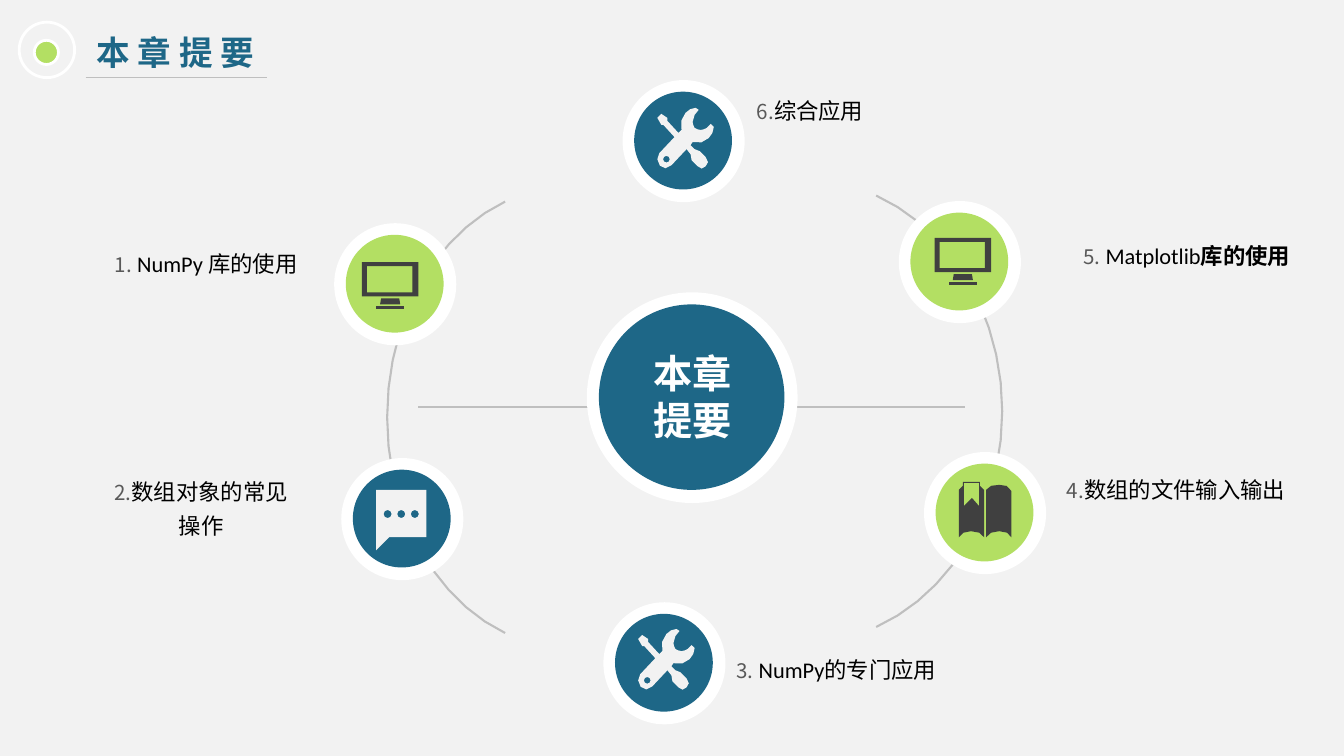
from math import cos, pi, sin

from pptx import Presentation
from pptx.dml.color import RGBColor
from pptx.enum.shapes import MSO_CONNECTOR as Link, MSO_SHAPE as Preset
from pptx.enum.text import MSO_AUTO_SIZE as Fit, PP_ALIGN as Align
from pptx.oxml.ns import qn
from pptx.util import Cm, Pt

BLUE, GREEN, WHITE = "1E6787", "B3DF63", "FFFFFF"
GREY, DARK, PALE = "BFBFBF", "404040", "F2F2F2"
SANS = "Noto Sans CJK SC"
TITLE = dict(size=Pt(24), name=SANS, bold=True, color=BLUE)
HUB = dict(size=Pt(28), name=SANS, bold=True, color=WHITE)
NUM = dict(size=Pt(14.7), name=SANS, color="595959")
BODY = dict(size=Pt(16), name="Calibri", color="000000")
BOLD = dict(BODY, bold=True)


# Units and colours
def inch(val):
    return Cm(val * 2.54)


def tint(code):
    return RGBColor.from_string(code)


def paint(shape, fill=None, line=None, width=0):
    shape.shadow.inherit = False
    for part, code in ((shape.fill, fill), (shape.line.fill, line)):
        if code:
            part.solid()
            part.fore_color.rgb = tint(code)
        else:
            part.background()
    if line:
        shape.line.width = Pt(width)


# Outlines: a pair is a corner, six numbers are a curve
def trace(*steps, cuts=2):
    pts = [steps[0]]
    for step in steps[1:]:
        if len(step) == 2:
            pts.append(step)
            continue
        ends = [pts[-1], step[:2], step[2:4], step[4:]]
        for i in range(1, cuts + 1):
            t = i / cuts
            mix = ((1 - t) ** 3, 3 * t * (1 - t) ** 2, 3 * t * t * (1 - t), t ** 3)
            pts.append(tuple(sum(m * e[k] for m, e in zip(mix, ends)) for k in (0, 1)))
    return pts


def box(x1, y1, x2, y2):
    return [(x1, y1), (x2, y1), (x2, y2), (x1, y2)]


def ring(x, y, r):
    return [(x + r * cos(i * pi / 4), y + r * sin(i * pi / 4)) for i in range(8)]


# Each icon lists its parts, each part its outlines, in hundredths of an inch
SCREEN = [
    [[(19, 36), (18, 42), (38, 42), (37, 36)]],
    [box(0, 0, 56, 34), box(5, 4, 50, 30)],
    [box(14, 44, 42, 47)],
]
BUBBLE = [[
    [(0, 60), (13, 47), (50, 47), (50, 0), (0, 0)],
    *(ring(11.5 + 13.5 * i, 24, 4) for i in range(3)),
]]
BOOK = [
    [trace((0, 55), (1, 51, 7, 49, 12, 49), (19, 49, 23, 51, 25, 55), (25, 8),
           (21, 4), (21, 0), (4, 0), (4, 4), (0, 8)),
     [(5, 4), (5, 1), (20, 1), (20, 24), (13, 16), (5, 24)]],
    [trace((27, 55), (29, 51, 34, 49, 40, 49), (46, 49, 51, 51, 52, 55), (52, 9),
           (50, 4, 46, 3, 40, 3), (34, 3, 29, 4, 27, 8))],
]
TOOLS = [[
    trace((0, 51), (0, 56, 4, 60, 8, 60), (14, 57), (29, 41), (33, 46), (34, 52),
          (40, 58), (42, 61, 46, 61, 48, 58), (51, 56, 51, 52, 48, 49), (42, 43),
          (37, 41), (33, 37), (35, 34), (41, 36, 47, 34, 51, 30),
          (54, 27, 56, 23, 56, 19), (53, 16), (49, 20), (47, 21, 45, 22, 43, 22),
          (41, 22, 39, 21, 37, 20), (36, 18, 35, 16, 35, 14), (37, 7), (41, 2), (38, 0),
          (34, 0, 31, 2, 28, 5), (24, 9, 22, 16, 24, 22), (21, 25), (10, 13), (10, 10),
          (4, 6), (0, 10), (4, 17), (6, 17), (17, 29), (2, 45)),
    ring(9, 51, 3.3),
]]


# Kinds of element
def draw(shapes, loops, x=0, y=0, unit=1, close=True):
    loops = [[(inch(x + a * unit), inch(y + b * unit)) for a, b in loop] for loop in loops]
    pen = shapes.build_freeform(*loops[0][0], scale=1.0)
    for i, loop in enumerate(loops):
        if i:
            pen.move_to(*loop[0])
        pen.add_line_segments(loop[1:], close=close)
    return pen.convert_to_shape()


def disc(shapes, x, y, size, *look):
    shape = shapes.add_shape(Preset.OVAL, inch(x), inch(y), inch(size), inch(size))
    paint(shape, *look)


def rule(shapes, x1, x2, y, width):
    line = shapes.add_connector(Link.STRAIGHT, inch(x1), inch(y), inch(x2), inch(y))
    line.line.color.rgb = tint(GREY)
    line.line.width = Pt(width)
    props = line._element.spPr
    props.append(props.makeelement(qn("a:effectLst"), {}))


def write(shapes, place, lines, align=Align.CENTER, space=1.0, wrap=True):
    frame = shapes.add_textbox(*map(inch, place)).text_frame
    frame.word_wrap = wrap
    frame.auto_size = Fit.SHAPE_TO_FIT_TEXT
    for i, runs in enumerate(lines):
        para = frame.add_paragraph() if i else frame.paragraphs[0]
        para.alignment, para.line_spacing = align, space
        for text, style in runs:
            run = para.add_run()
            run.text = text
            for key, val in style.items():
                if key == "color":
                    run.font.color.rgb = tint(val)
                else:
                    setattr(run.font, key, val)
            # East Asian typeface
            props = run._r.get_or_add_rPr()
            props.append(props.makeelement(qn("a:ea"), {"typeface": SANS}))


def node(shapes, x, y, fill, icon, left, top):
    group = shapes.add_group_shape().shapes
    disc(group, x, y, 1.18, WHITE, WHITE, 2.25)
    disc(group, x + 0.1, y + 0.1, 0.97, fill)
    for part in icon:
        paint(draw(group, part, left, top, 0.01), DARK if fill == GREEN else PALE)


def main():
    deck = Presentation()
    deck.slide_width, deck.slide_height = inch(13.33), inch(7.5)
    slide = deck.slides.add_slide(deck.slide_layouts[6])
    slide.background.fill.solid()
    slide.background.fill.fore_color.rgb = tint(PALE)
    shapes = slide.shapes

    # Side arcs and the middle line
    arcs = [
        trace((5.01, 6.28), (4.32, 5.95, 3.84, 5.11, 3.84, 4.14),
              (3.84, 3.16, 4.32, 2.33, 5.01, 2), cuts=10),
        trace((8.69, 6.22), (9.42, 5.89, 9.94, 5.06, 9.94, 4.08),
              (9.94, 3.11, 9.42, 2.27, 8.69, 1.94), cuts=10),
    ]
    for arc in arcs:
        paint(draw(shapes, [arc], close=False), None, GREY, 1.5)
    rule(shapes, 4.15, 9.57, 4.04, 1.5)

    # Heading
    write(shapes, (0.86, 0.27, 1.91, 0.5), [[("本 章 提 要", TITLE)]], Align.LEFT)
    disc(shapes, 0.34, 0.4, 0.24, GREEN, WHITE, 2)
    disc(shapes, 0.19, 0.22, 0.55, None, WHITE, 2)
    rule(shapes, 0.85, 2.65, 0.77, 0.75)

    # Hub
    disc(shapes, 5.82, 2.9, 2.09, WHITE)
    disc(shapes, 5.94, 3.02, 1.84, BLUE)
    write(shapes, (6.37, 3.42, 0.99, 1.04), [[("本章", HUB)], [("提要", HUB)]], wrap=False)

    # Chapter labels
    labels = [
        (0.98, 2.35, 2.13, 0.45, (" NumPy 库的使用", BODY)),
        (0.93, 4.61, 2.13, 0.8, ("数组对象的常见操作", BODY)),
        (6.52, 6.38, 3.55, 0.45, (" NumPy的专门应用", BODY)),
        (10.26, 4.59, 2.81, 0.45, ("数组的文件输入输出", BODY)),
        (10.47, 2.27, 2.6, 0.45, (" Matplotlib", BODY), ("库的使用", BOLD)),
        (6.97, 0.83, 2.13, 0.45, ("综合应用", BODY)),
    ]
    for i, (x, y, w, h, *runs) in enumerate(labels, 1):
        write(shapes, (x, y, w, h), [[(f"{i}.", NUM), *runs]], space=1.3)

    # Chapter nodes
    nodes = [
        (3.33, 2.23, GREEN, SCREEN, 3.59, 2.6),
        (3.4, 4.56, BLUE, BUBBLE, 3.73, 4.86),
        (6, 5.99, BLUE, TOOLS, 6.33, 6.24),
        (9.18, 4.5, GREEN, BOOK, 9.51, 4.78),
        (8.93, 2.01, GREEN, SCREEN, 9.27, 2.36),
        (6.19, 0.81, BLUE, TOOLS, 6.52, 1.07),
    ]
    for item in nodes:
        node(shapes, *item)

    deck.save("out.pptx")


if __name__ == "__main__":
    main()
